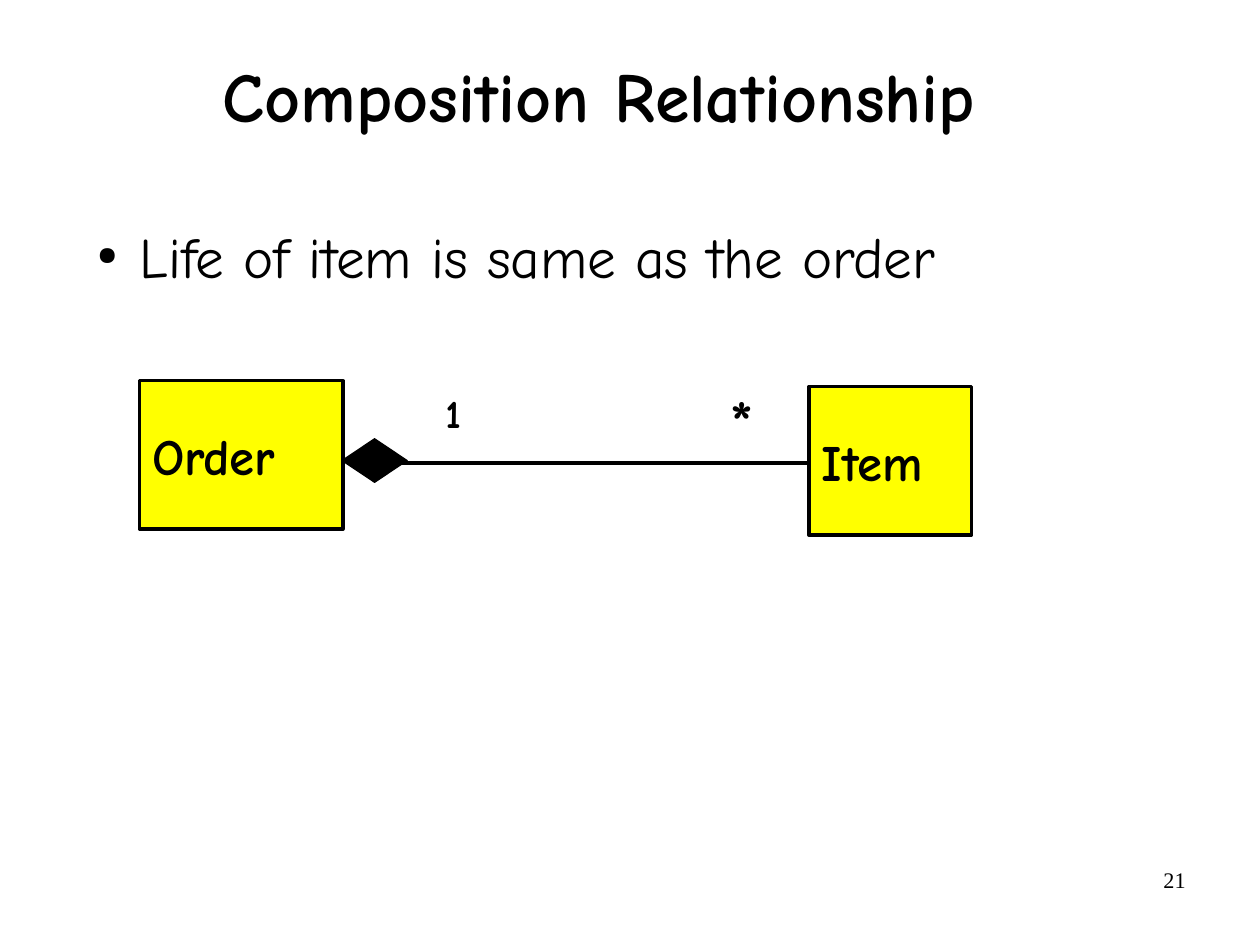
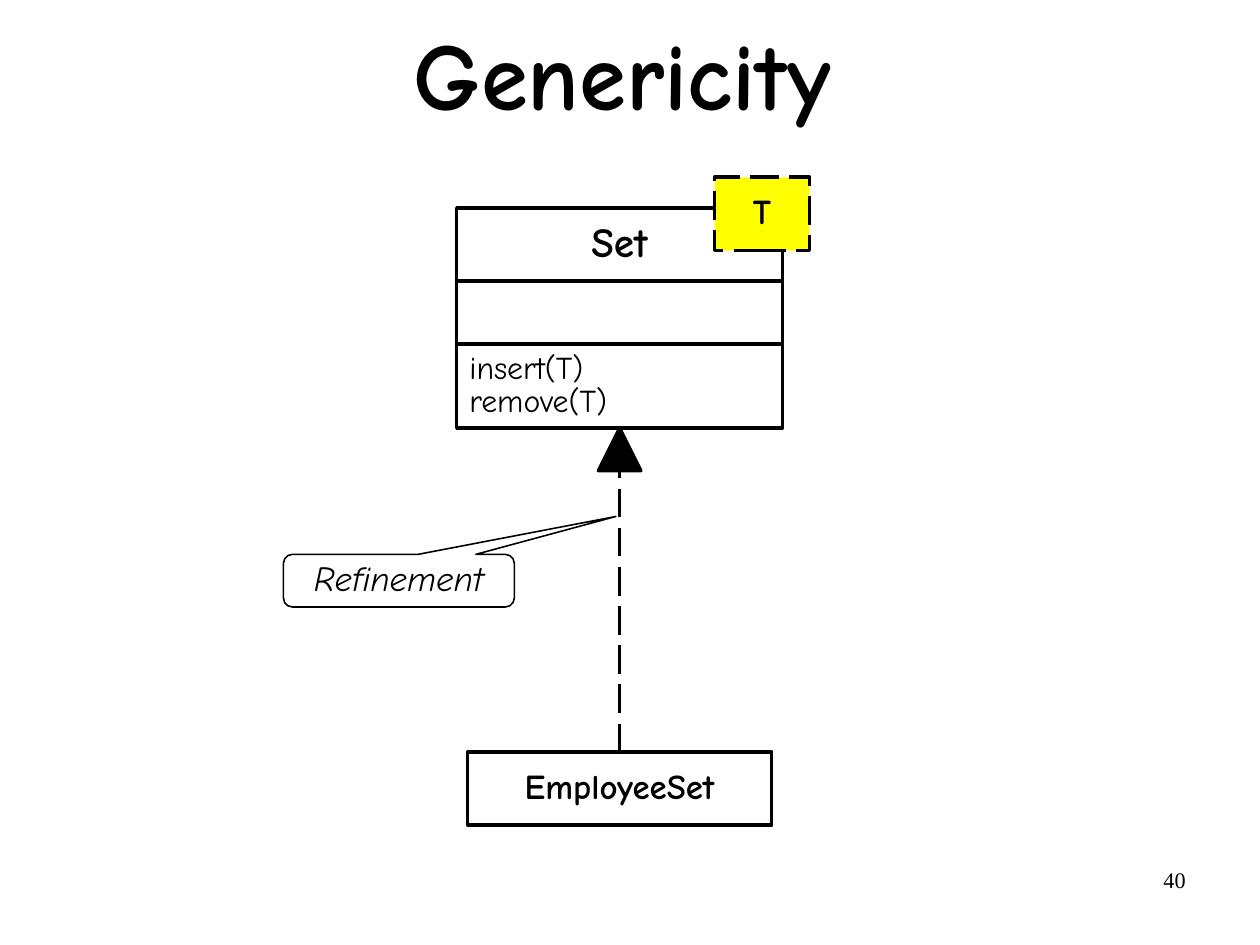
from dataclasses import dataclass

from lxml.etree import SubElement
from pptx import Presentation
from pptx.dml.color import RGBColor as Color
from pptx.enum.dml import MSO_LINE as Dash
from pptx.enum.shapes import MSO_CONNECTOR as Connector, MSO_SHAPE as Shape
from pptx.enum.text import MSO_ANCHOR as Anchor, PP_ALIGN as Align
from pptx.oxml.ns import qn
from pptx.util import Cm, Pt


@dataclass(frozen=True)
class Theme:
    ink: Color = Color(0x00, 0x00, 0x00)
    paper: Color = Color(0xFF, 0xFF, 0xFF)
    accent: Color = Color(0xFF, 0xFF, 0x00)
    font: str = "Comic Neue"
    number_font: str = "Times New Roman"
    number_size: int = 14
    title_size: int = 44
    large_title_size: int = 60
    bullet_size: int = 36
    entity_size: int = 32
    class_size: int = 26
    label_size: int = 22
    member_size: int = 20
    rule: float = 2.25
    thin_rule: float = 1
    title_spacing: float = 0.94
    class_spacing: float = 0.87


THEME = Theme()


def write(shape, lines, size, align=Align.LEFT, anchor=Anchor.MIDDLE, spacing=1.0,
          bold=False, italic=False, font=THEME.font, insets=(0.28, 0.15)):
    frame = shape.text_frame
    frame.word_wrap = True
    frame.vertical_anchor = anchor
    frame.margin_left = frame.margin_right = Cm(insets[0])
    frame.margin_top = frame.margin_bottom = Cm(insets[1])
    for index, line in enumerate(lines):
        para = frame.add_paragraph() if index else frame.paragraphs[0]
        para.alignment = align
        para.line_spacing = spacing
        span = para.add_run()
        span.text = line
        span.font.name = font
        span.font.size = Pt(size)
        span.font.bold = bold
        span.font.italic = italic
        span.font.color.rgb = THEME.ink


def add_text(page, at, lines, size, **style):
    box = page.shapes.add_textbox(*map(Cm, at))
    write(box, lines, size, **style)
    return box


def add_figure(page, kind, at, fill, rule=THEME.rule, dash=None):
    figure = page.shapes.add_shape(kind, *map(Cm, at))
    figure.shadow.inherit = False
    figure.fill.solid()
    figure.fill.fore_color.rgb = fill
    figure.line.color.rgb = THEME.ink
    figure.line.width = Pt(rule)
    if dash:
        figure.line.dash_style = dash
    return figure


def add_class_box(page, at, lines, size, fill=THEME.paper, dash=None,
                  align=Align.CENTER, bold=True, spacing=THEME.class_spacing):
    box = add_figure(page, Shape.RECTANGLE, at, fill, dash=dash)
    if lines:
        write(box, lines, size, align=align, bold=bold, spacing=spacing)


def add_line(page, start, end, dash=None):
    line = page.shapes.add_connector(Connector.STRAIGHT, *map(Cm, start + end))
    line.line.color.rgb = THEME.ink
    line.line.width = Pt(THEME.rule)
    if dash:
        line.line.dash_style = dash
    SubElement(line._element.spPr, qn("a:effectLst"))


def add_bullet(page, at, text):
    box = add_text(page, at, [text], THEME.bullet_size, anchor=Anchor.TOP,
                   spacing=THEME.title_spacing, insets=(0.05, 0.15))
    indent = Cm(0.94)
    properties = box.text_frame.paragraphs[0]._p.get_or_add_pPr()
    properties.set("marL", str(indent))
    properties.set("indent", str(-indent))
    colour = SubElement(properties, qn("a:buClr"))
    SubElement(colour, qn("a:srgbClr"), val=str(THEME.ink))
    SubElement(properties, qn("a:buSzPct"), val="45000")
    SubElement(properties, qn("a:buChar"), char="●")


def add_page(deck, number, title, title_at, title_size):
    page = deck.slides.add_slide(deck.slide_layouts[6])
    add_text(page, (20.07, 19.13, 6.53, 1.45), [number], THEME.number_size,
             align=Align.RIGHT, anchor=Anchor.TOP, font=THEME.number_font,
             insets=(0.25, 0.13))
    add_text(page, title_at, [title], title_size, align=Align.CENTER, bold=True,
             spacing=THEME.title_spacing, insets=(0, 0))
    return page


def build_composition(deck):
    page = add_page(deck, "21", "Composition Relationship",
                    (1.42, 0.46, 23.8, 3.48), THEME.title_size)
    for name, at in (("Order", (3.1, 8.46, 4.52, 3.3)),
                     ("Item", (17.98, 8.59, 3.61, 3.3))):
        add_class_box(page, at, [name], THEME.entity_size, fill=THEME.accent,
                      align=Align.LEFT, spacing=1.0)
    for mark, at, size in (("1", (9.9, 8.64, 1, 1.07), 25),
                           ("*", (16.23, 8.51, 1, 1.6), 38)):
        add_text(page, at, [mark], size, anchor=Anchor.TOP, bold=True, insets=(0, 0))
    add_figure(page, Shape.FLOWCHART_DECISION, (7.6, 9.75, 1.45, 0.97), THEME.ink,
               rule=0.75)
    add_line(page, (8.94, 10.29), (17.98, 10.29))
    add_bullet(page, (2.11, 4.9, 23.8, 2.34), "Life of item is same as the order")


def build_genericity(deck):
    page = add_page(deck, "40", "Genericity", (1.88, 0, 23.9, 3.5),
                    THEME.large_title_size)
    axis = 13.77
    child_width, child_top, child_height = 6.76, 16.71, 1.63
    add_class_box(page, (axis - child_width / 2, child_top, child_width, child_height),
                  ["EmployeeSet"], THEME.label_size)

    callout = add_figure(page, Shape.ROUNDED_RECTANGULAR_CALLOUT,
                         (6.3, 12.32, 5.13, 1.17), THEME.paper, rule=THEME.thin_rule)
    for index, value in enumerate((0.94, -1.22, 0.17)):
        callout.adjustments[index] = value
    write(callout, ["Refinement"], THEME.label_size, align=Align.CENTER,
          spacing=THEME.class_spacing, italic=True)

    head_top, head_size = 9.52, 0.94
    add_line(page, (axis, child_top), (axis, head_top + head_size), dash=Dash.LONG_DASH)
    add_figure(page, Shape.ISOSCELES_TRIANGLE,
               (axis - head_size / 2, head_top, head_size, head_size), THEME.ink)

    set_width, top = 7.24, 4.62
    for height, lines, size, align, bold in (
            (1.63, ["Set"], THEME.class_size, Align.CENTER, True),
            (1.4, [], THEME.member_size, Align.LEFT, False),
            (1.86, ["insert(T)", "remove(T)"], THEME.member_size, Align.LEFT, False)):
        add_class_box(page, (axis - set_width / 2, top, set_width, height), lines, size,
                      align=align, bold=bold)
        top += height
    add_class_box(page, (15.88, 3.94, 2.11, 1.63), ["T"], THEME.label_size,
                  fill=THEME.accent, dash=Dash.LONG_DASH)


def main():
    deck = Presentation()
    deck.slide_width, deck.slide_height = Cm(28), Cm(21)
    build_composition(deck)
    build_genericity(deck)
    deck.save("out.pptx")


if __name__ == "__main__":
    main()
